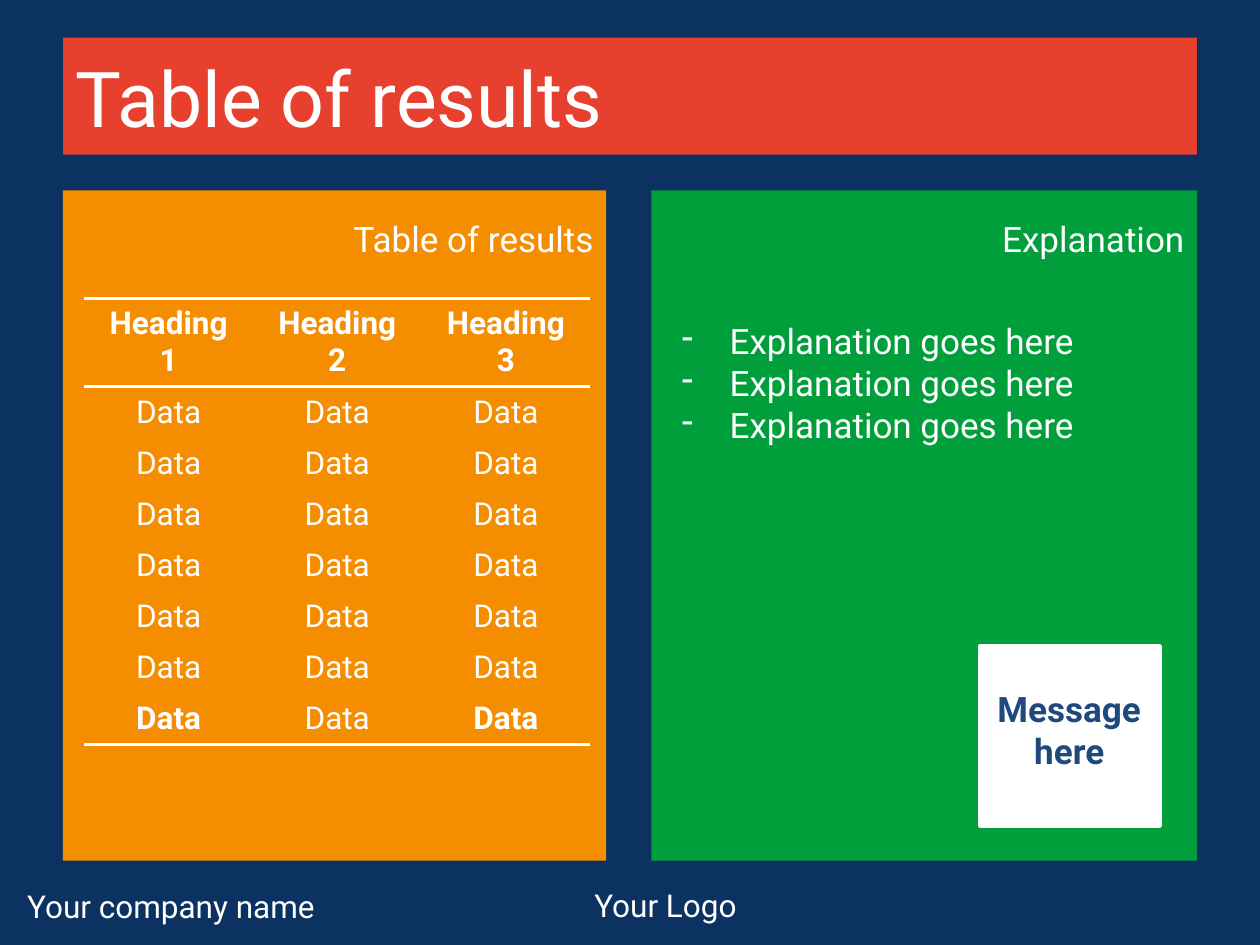
from dataclasses import dataclass

from lxml.etree import SubElement
from pptx import Presentation
from pptx.dml.color import RGBColor
from pptx.enum.shapes import MSO_SHAPE
from pptx.enum.text import MSO_ANCHOR, MSO_AUTO_SIZE, PP_ALIGN
from pptx.oxml import parse_xml
from pptx.oxml.ns import nsdecls, qn
from pptx.util import Cm, Pt


@dataclass(frozen=True)
class Theme:
    font: str = "Roboto"
    navy: str = "0B3261"
    red: str = "E8402E"
    orange: str = "F58D01"
    green: str = "009F3C"
    white: str = "FFFFFF"
    blue: str = "1F497D"
    title_size: int = 44
    text_size: int = 20
    small_size: int = 18
    rule_width: int = 2


THEME = Theme()
NO_TABLE_STYLE = "{2D5ABB26-0587-4C30-8999-92F81FD0307C}"
PANEL_TOP, PANEL_HEIGHT = 3.84, 13.51


def set_attributes(target, values):
    for name, value in values.items():
        setattr(target, name, value)


def place(shape, left, top, width, height):
    set_attributes(shape, {"left": Cm(left), "top": Cm(top),
                           "width": Cm(width), "height": Cm(height)})


def fill_solid(fill, color):
    fill.solid()
    fill.fore_color.rgb = RGBColor.from_string(color)


def write_text(frame, lines, size, color=THEME.white, bold=False,
               align=PP_ALIGN.LEFT):
    frame.text = "\n".join(lines)
    for paragraph in frame.paragraphs:
        paragraph.alignment = align
        for run in paragraph.runs:
            set_attributes(run.font, {"name": THEME.font, "size": Pt(size), "bold": bold})
            run.font.color.rgb = RGBColor.from_string(color)


def add_title(slide, text, box):
    title = slide.shapes.title
    place(title, *box)
    fill_solid(title.fill, THEME.red)
    write_text(title.text_frame, [text], THEME.title_size)
    set_attributes(title.text_frame, {"vertical_anchor": MSO_ANCHOR.MIDDLE,
                                      "auto_size": MSO_AUTO_SIZE.NONE,
                                      "word_wrap": True})


def add_rectangle(slide, box, color, line_width=0):
    shape = slide.shapes.add_shape(MSO_SHAPE.RECTANGLE, *map(Cm, box))
    shape.shadow.inherit = False
    fill_solid(shape.fill, color)
    if line_width:
        shape.line.width = Pt(line_width)
        fill_solid(shape.line.fill, color)
    else:
        shape.line.fill.background()


def add_text(slide, box, lines, size, **text_format):
    frame = slide.shapes.add_textbox(*map(Cm, box)).text_frame
    frame.word_wrap = True
    write_text(frame, lines, size, **text_format)
    return frame


def add_bullets(slide, box, lines, indent):
    frame = add_text(slide, box, lines, THEME.text_size)
    for paragraph in frame.paragraphs:
        properties = paragraph._p.get_or_add_pPr()
        properties.set("marL", str(Cm(indent)))
        properties.set("indent", str(-Cm(indent)))
        SubElement(properties, qn("a:buChar")).set("char", "-")


def add_panel(slide, left, width, color, heading):
    add_rectangle(slide, (left, PANEL_TOP, width, PANEL_HEIGHT), color)
    add_text(slide, (left, 4.27, width, 1.78), [heading], THEME.text_size,
             align=PP_ALIGN.RIGHT)


def set_borders(cell, sides):
    properties = cell._tc.get_or_add_tcPr()
    for index, side in enumerate(sides):
        properties.insert(index, parse_xml(
            f'<a:ln{side} {nsdecls("a")} w="{Pt(THEME.rule_width)}"><a:solidFill>'
            f'<a:srgbClr val="{THEME.white}"/></a:solidFill></a:ln{side}>'))


def add_table(slide, box, rows, bold_cells):
    last = len(rows) - 1
    borders = {0: "TB", last: "B"}
    table = slide.shapes.add_table(len(rows), len(rows[0]), *map(Cm, box)).table
    set_attributes(table, {"first_row": False, "horz_banding": False})
    table._tbl.tblPr.find(qn("a:tableStyleId")).text = NO_TABLE_STYLE
    for row_index, row in enumerate(rows):
        for column_index, text in enumerate(row):
            cell = table.cell(row_index, column_index)
            cell.vertical_anchor = MSO_ANCHOR.MIDDLE
            cell.fill.background()
            write_text(cell.text_frame, [text], THEME.small_size,
                       bold=(row_index, column_index) in bold_cells,
                       align=PP_ALIGN.CENTER)
            set_borders(cell, borders.get(row_index, ""))


def main():
    presentation = Presentation()
    set_attributes(presentation, {"slide_width": Cm(25.4), "slide_height": Cm(19.05)})
    slide = presentation.slides.add_slide(presentation.slide_layouts[5])
    fill_solid(slide.background.fill, THEME.navy)

    add_title(slide, "Table of results", (1.27, 0.76, 22.86, 2.36))
    add_panel(slide, 1.27, 10.95, THEME.orange, "Table of results")
    add_panel(slide, 13.13, 11, THEME.green, "Explanation")

    rows = [[f"Heading {number}" for number in (1, 2, 3)]] + [["Data"] * 3] * 7
    add_table(slide, (1.7, 6.02, 10.2, 8.24), rows,
              {(0, 0), (0, 1), (0, 2), (7, 0), (7, 2)})

    add_bullets(slide, (13.49, 6.32, 10.06, 2.82), ["Explanation goes here"] * 3, 0.97)
    add_rectangle(slide, (19.76, 13.03, 3.61, 3.61), THEME.white, line_width=3)
    add_text(slide, (19.46, 13.74, 4.19, 2.21), ["Message here"], THEME.text_size,
             color=THEME.blue, bold=True, align=PP_ALIGN.CENTER)

    add_text(slide, (0.3, 17.75, 21.59, 0.86), ["Your company name"], THEME.small_size)
    add_text(slide, (11.51, 17.73, 3.81, 1.07), ["Your Logo"], THEME.small_size,
             align=PP_ALIGN.CENTER)

    presentation.save("out.pptx")


if __name__ == "__main__":
    main()
